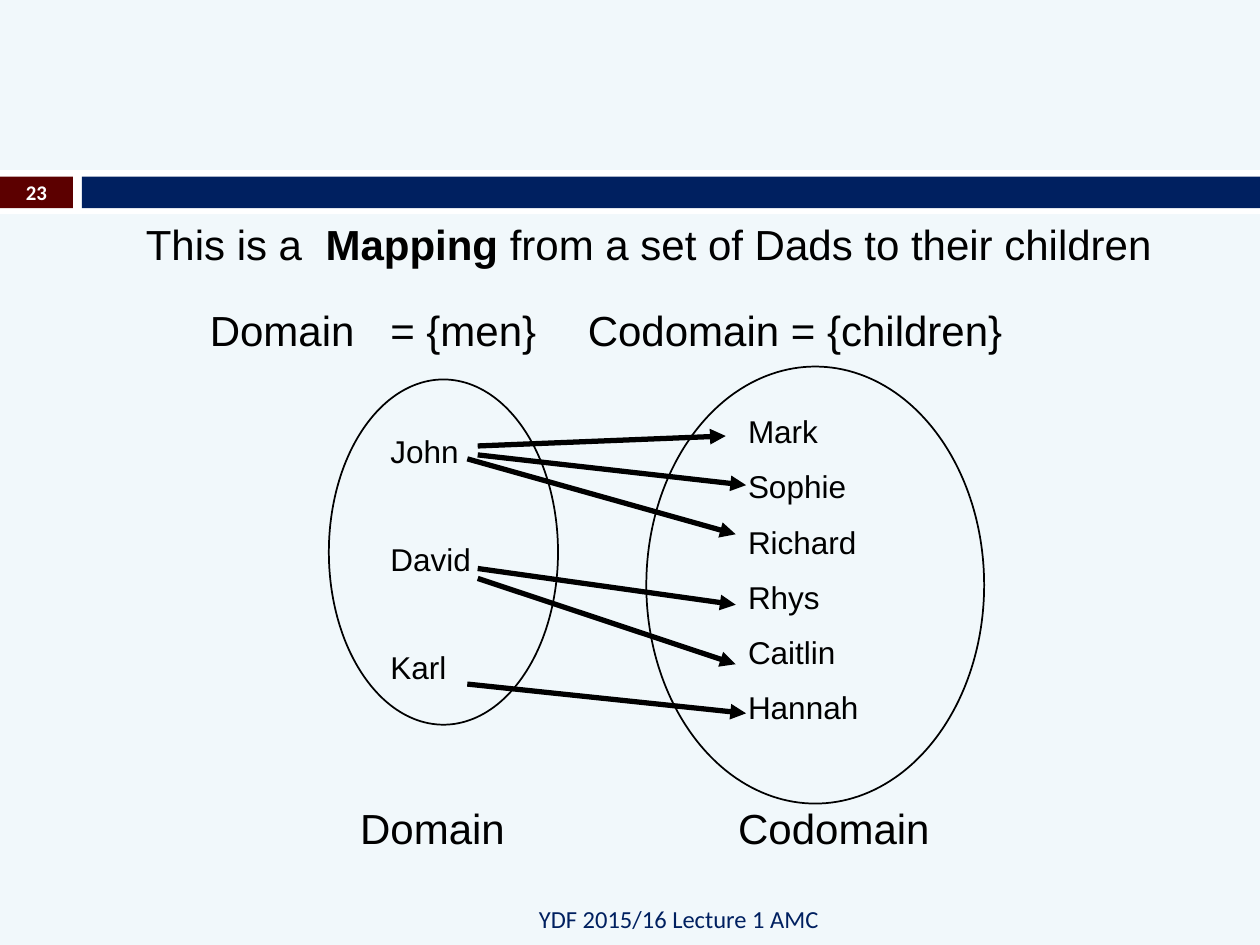
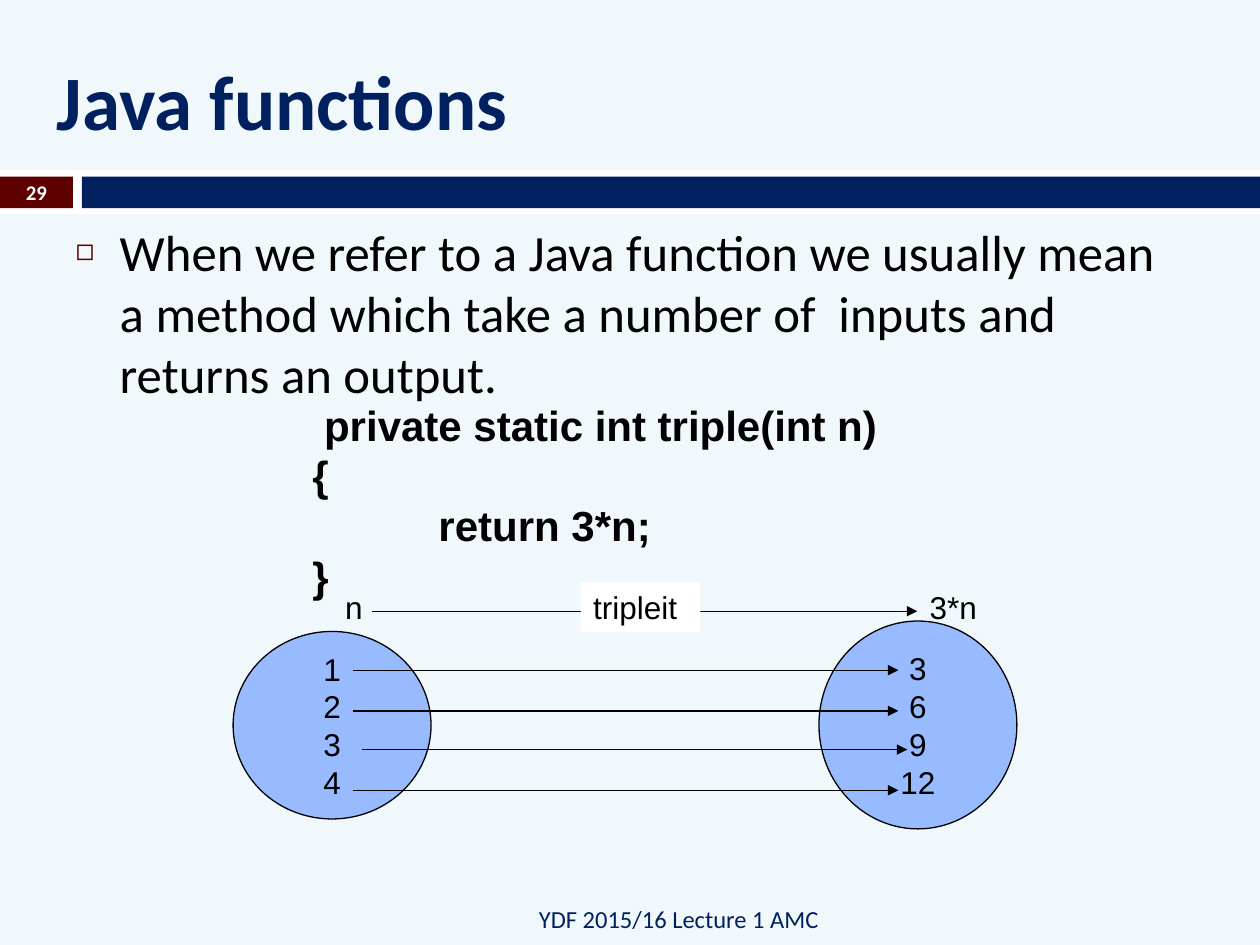
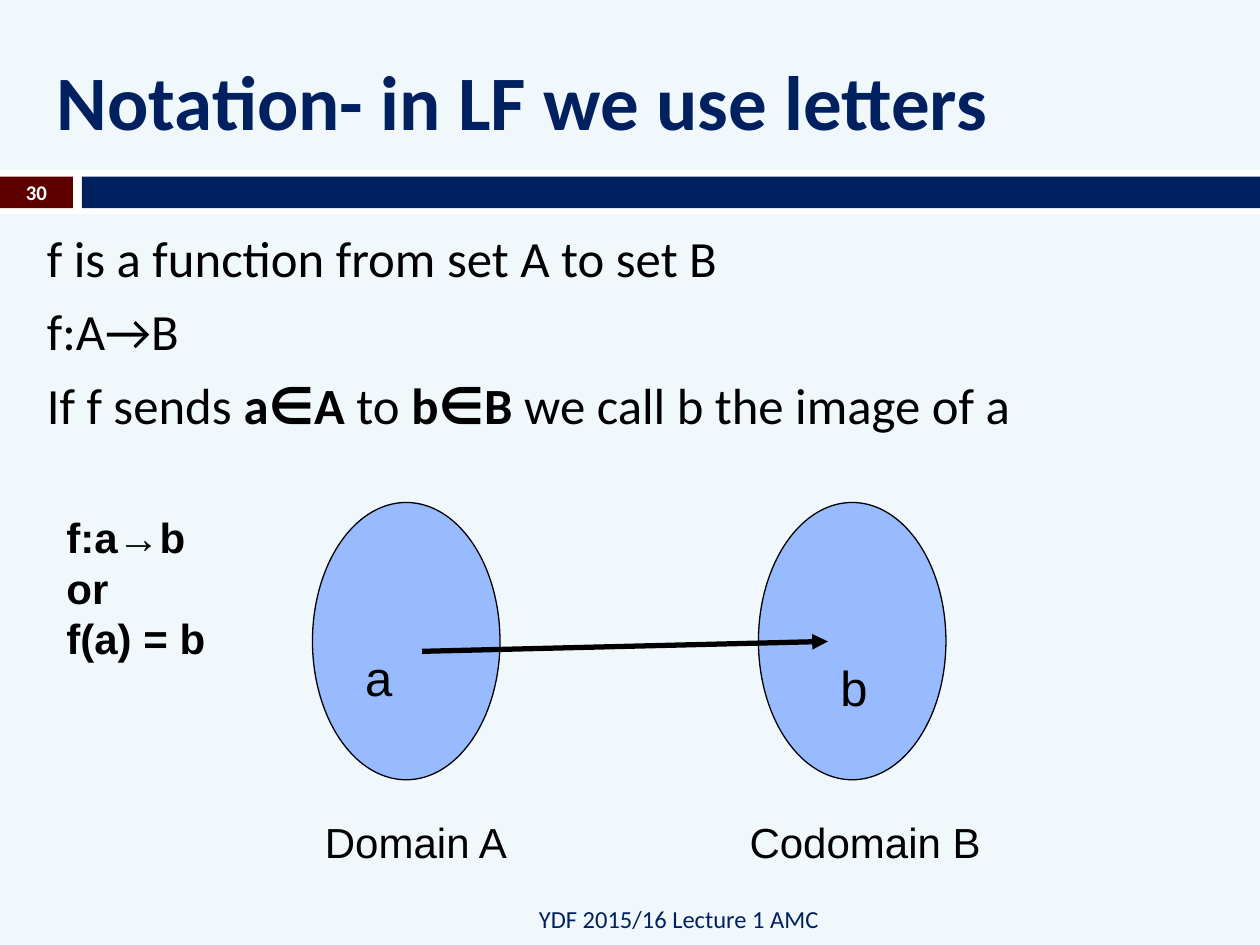
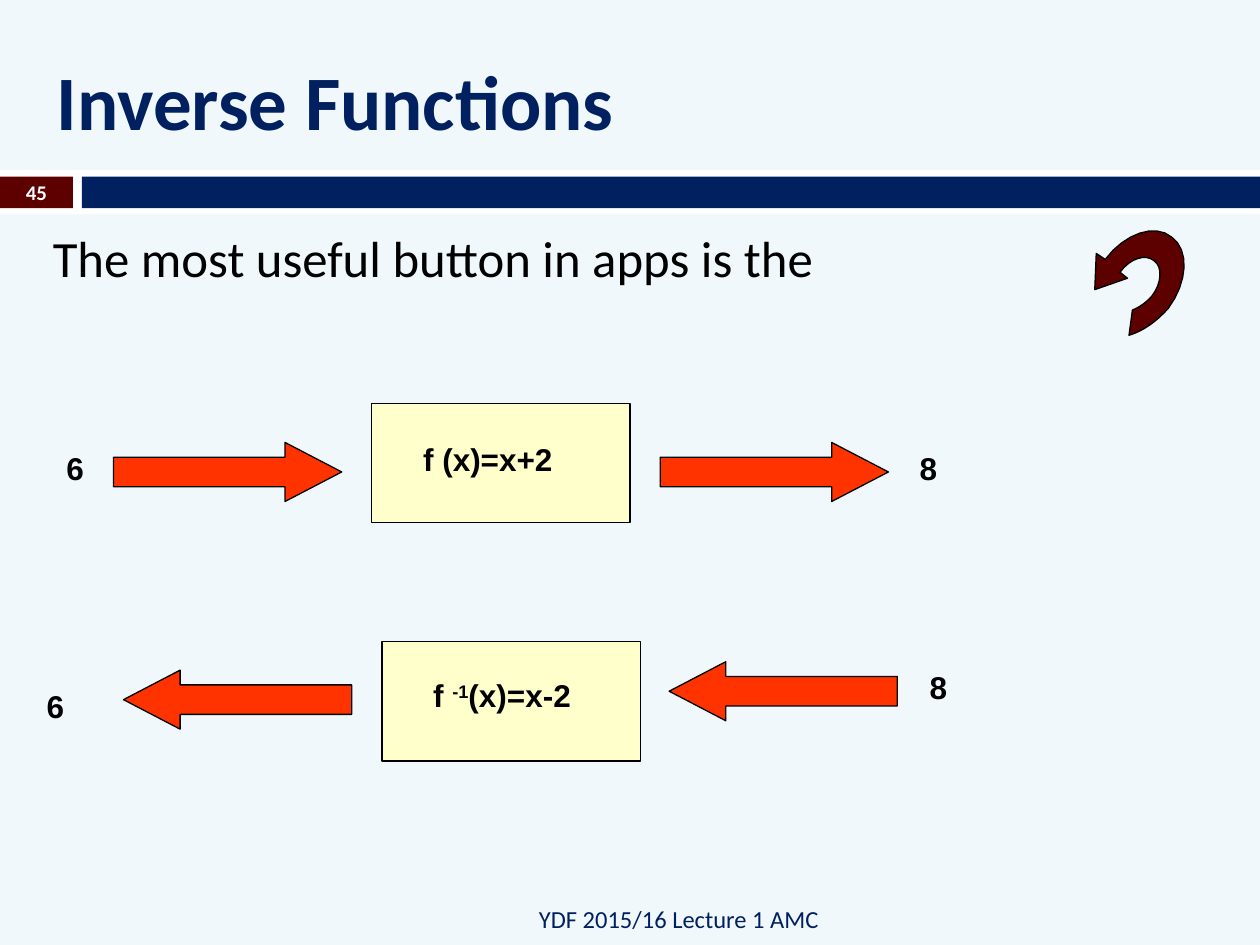
"""Build four lecture slides on mappings, functions and inverses."""
from dataclasses import dataclass

from lxml.etree import SubElement
from pptx import Presentation
from pptx.dml.color import RGBColor
from pptx.enum.shapes import MSO_CONNECTOR, MSO_SHAPE
from pptx.enum.text import MSO_ANCHOR, MSO_AUTO_SIZE, PP_ALIGN
from pptx.oxml.ns import qn
from pptx.util import Cm, Pt


@dataclass(frozen=True)
class Theme:
    back: str = "F1F8FB"
    navy: str = "002060"
    wine: str = "5C0000"
    white: str = "FFFFFF"
    ink: str = "000000"
    blue: str = "98BAFF"
    cream: str = "FFFFCC"
    red: str = "FF3300"
    head: str = "Calibri"
    sans: str = "Arial"
    title: float = 44
    body: float = 29
    big: float = 28
    mid: float = 24
    small: float = 18
    foot: float = 14
    num: float = 11.9
    thin: float = 0.75


T = Theme()


def write(host, lines, at=None, size=T.mid, font=T.sans, color=T.ink, bold=False,
          mark="bold", align=PP_ALIGN.LEFT, anchor=MSO_ANCHOR.TOP, gap=0,
          tabs=(), hang=0, bullet=None, wrap=True):
    if hasattr(host, "shapes"):
        host = host.shapes.add_textbox(0, 0, 0, 0)
    if at:
        host.left, host.top, host.width, host.height = map(Cm, at)
    frame = host.text_frame
    frame.auto_size = MSO_AUTO_SIZE.NONE
    frame.word_wrap = wrap
    frame.vertical_anchor = anchor
    for row, line in enumerate(lines):
        para = frame.add_paragraph() if row else frame.paragraphs[0]
        props = para._p.get_or_add_pPr()
        if hang:
            props.set("marL", str(Cm(hang)))
            props.set("indent", str(-Cm(hang)))
        if bullet:
            tint = SubElement(props, qn("a:buClr"))
            SubElement(tint, qn("a:srgbClr"), val=T.wine)
            SubElement(props, qn("a:buSzPct"), val="60000")
            SubElement(props, qn("a:buChar"), char=bullet)
        elif hang:
            SubElement(props, qn("a:buNone"))
        if tabs:
            stops = SubElement(props, qn("a:tabLst"))
            for stop in tabs:
                SubElement(stops, qn("a:tab"), pos=str(Cm(stop)), algn="l")
        para.alignment = align
        para.space_before = Pt(gap if row else 0)
        for part, words in enumerate(line.split("|")):
            run = para.add_run()
            run.text = words
            run.font.name, run.font.size = font, Pt(size)
            run.font.color.rgb = RGBColor.from_string(color)
            run.font.bold = bold or (part % 2 == 1 and mark == "bold")
            if part % 2 and mark == "super":
                run._r.get_or_add_rPr().set("baseline", "30000")
    return host


def draw(slide, kind, at, fill=None, line=T.thin):
    shape = slide.shapes.add_shape(kind, *map(Cm, at))
    shape.shadow.inherit = False
    if fill:
        shape.fill.solid()
        shape.fill.fore_color.rgb = RGBColor.from_string(fill)
    else:
        shape.fill.background()
    if line:
        shape.line.color.rgb = RGBColor.from_string(T.ink)
        shape.line.width = Pt(line)
    else:
        shape.line.fill.background()
    return shape


deck = Presentation()
deck.slide_width, deck.slide_height = Cm(25.4), Cm(19.05)
master = deck.slide_master
master.background.fill.solid()
master.background.fill.fore_color.rgb = RGBColor.from_string(T.back)

slides = []
for number, title in (("23", None), ("29", "Java functions"),
                      ("30", "Notation- in LF we use letters"), ("45", "Inverse Functions")):
    slide = deck.slides.add_slide(deck.slide_layouts[1 if title else 6])
    slides.append(slide)
    if title:
        write(slide.shapes.title, [title], (0.89, 0.64, 23.8, 2.74), size=T.title,
              font=T.head, color=T.navy, bold=True, anchor=MSO_ANCHOR.MIDDLE)
    write(slide, ["YDF 2015/16 Lecture 1 AMC"], (1.7, 18.01, 15.06, 1.02), size=T.foot,
          font=T.head, color=T.navy, align=PP_ALIGN.RIGHT, anchor=MSO_ANCHOR.MIDDLE)
    write(slide, [number], (0, 3.53, 1.47, 0.69), size=T.num, font=T.head, color=T.white,
          bold=True, align=PP_ALIGN.CENTER, anchor=MSO_ANCHOR.MIDDLE)
dads, java, note, undo = slides

for place, (at, fill) in enumerate((
        ((0, 3.43, 25.4, 0.89), T.white),
        ((0, 3.56, 1.47, 0.64), T.wine),
        ((1.65, 3.56, 23.75, 0.64), T.navy))):
    band = draw(dads, MSO_SHAPE.RECTANGLE, at, fill, None).element
    band.nvSpPr.cNvPr.set("id", str(20 + place))
    master.shapes.element.insert(2 + place, band)

for at in ((6.63, 7.65, 4.62, 6.96), (13.03, 7.39, 6.81, 8.81)):
    draw(dads, MSO_SHAPE.OVAL, at, line=1)
for at, items in (((4.7, 12.73, 3.99, 3.78), ["1", "2", "3", "4"]),
                  ((16.51, 12.52, 3.99, 4.19), ["3", "6", "9", "12"])):
    write(draw(java, MSO_SHAPE.OVAL, at, T.blue), items, size=T.small,
          align=PP_ALIGN.CENTER, anchor=MSO_ANCHOR.MIDDLE, wrap=False)
for left in (6.3, 15.29):
    draw(note, MSO_SHAPE.OVAL, (left, 10.13, 3.78, 5.59), T.blue)

for slide, weight, spans in (
        (dads, 3, ((9.42, 9.25, 14.83, 10.77), (9.63, 8.99, 14.63, 8.79),
                   (9.63, 11.66, 14.83, 13.39), (9.63, 11.46, 14.83, 12.19),
                   (9.42, 13.79, 15.04, 14.38), (9.63, 9.17, 15.04, 9.78))),
        (java, T.thin, [(x, y, x + 11, y) for x, y in (
            (7.11, 13.51), (7.11, 14.33), (7.29, 15.11), (7.11, 15.93), (7.49, 12.32))]),
        (note, 3, ((8.51, 13.13, 16.69, 12.93),))):
    for span in spans:
        arrow = slide.shapes.add_connector(MSO_CONNECTOR.STRAIGHT, *map(Cm, span))
        arrow.line.color.rgb = RGBColor.from_string(T.ink)
        arrow.line.width = Pt(weight)
        props = arrow.element.spPr
        SubElement(props.find(qn("a:ln")), qn("a:tailEnd"), type="triangle")
        SubElement(props, qn("a:effectLst"))

write(dads, ["This is a  |Mapping| from a set of Dads to their children"],
      (2.69, 4.29, 21.44, 1.27))
write(dads, ["\tDomain\t= {men}\tCodomain = {children}"], (1.22, 6.02, 21.11, 1.27),
      tabs=(2.76, 6.4, 10.38))
write(dads, ["John", "David", "Karl"], (7.62, 8.59, 2.79, 5.61), size=T.small, gap=40)
write(dads, ["Mark", "Sophie", "Richard", "Rhys", "Caitlin", "Hannah"],
      (14.83, 8.18, 3.61, 6.76), size=T.small, gap=10)
write(dads, ["\tDomain\tCodomain"], (4.22, 16.05, 18.39, 1.27), tabs=(2.79, 10.41))

write(java.placeholders[1],
      ["When we refer to a Java function we usually mean a method which take "
       "a number of  inputs and returns an output."],
      (1.27, 4.32, 22.86, 12.7), size=T.body, font=T.head, hang=0.89, bullet="◻")
write(java, ["\t private static int triple(int n)", "\t{", "\t\treturn 3*n;", "\t}"],
      (3.51, 7.92, 18.8, 4.32), bold=True, tabs=(2.54, 5.08))
for words, left, width in (("tripleit", 11.71, 2.41), ("n", 6.71, 1.19), ("3*n", 18.49, 1.6)):
    label = write(java, [words], (left, 11.73, width, 1.02), size=T.small)
    if words == "tripleit":
        label.fill.solid()
        label.fill.fore_color.rgb = RGBColor.from_string(T.white)

write(note.placeholders[1],
      ["f is a function from set A to set B", "f:A→B",
       "If f sends |a∈A| to |b∈B| we call b the image of a"],
      (0.69, 4.45, 24, 12.57), size=T.body, font=T.head, hang=0.89, gap=7)
write(note, ["a"], (7.11, 12.93, 1.19, 1.45), size=T.big)
write(note, ["b"], (16.69, 13.13, 1.19, 1.45), size=T.big)
write(note, ["Domain A\tCodomain B"], (6.3, 16.33, 18.39, 1.27), tabs=(8.56,))
write(note, ["f:a→b", "or", "f(a) = b"], (1.09, 10.29, 4.45, 3.1), bold=True,
      anchor=MSO_ANCHOR.MIDDLE)

write(undo.placeholders[1], ["The most useful button in apps is the"],
      (0.81, 4.45, 23.9, 12.5), size=T.body, font=T.head, hang=0.89)
for left, top in ((7.49, 8.13), (7.7, 12.93)):
    draw(undo, MSO_SHAPE.RECTANGLE, (left, top, 5.21, 2.41), T.cream)
for kind, left, top in ((MSO_SHAPE.RIGHT_ARROW, 2.29, 8.92),
                        (MSO_SHAPE.RIGHT_ARROW, 13.31, 8.92),
                        (MSO_SHAPE.LEFT_ARROW, 13.49, 13.34),
                        (MSO_SHAPE.LEFT_ARROW, 2.49, 13.51)):
    block = draw(undo, kind, (left, top, 4.6, 1.19), T.red)
    block.adjustments[1] = 0.96
for words, left, top, width in (("f (x)=x+2", 8.28, 8.74, 3.61),
                                ("f |-1|(x)=x-2", 8.48, 13.51, 3.61),
                                ("6", 1.09, 8.92, 1.6), ("8", 18.29, 8.92, 1.6),
                                ("8", 18.49, 13.34, 1.6), ("6", 0.69, 13.72, 1.6)):
    write(undo, [words], (left, top, width, 1.02), size=T.small, bold=True, mark="super")

start = (22.58, 5.49)
route = (
    ((22.78, 5.21), (23.09, 5.11), (23.27, 5.26)),
    ((23.44, 5.38), (23.42, 5.72), (23.22, 5.97)),
    ((23.11, 6.1), (22.96, 6.2), (22.83, 6.25)),
    ((22.76, 6.76),),
    ((23.04, 6.68), (23.32, 6.48), (23.55, 6.22)),
    ((23.95, 5.69), (23.98, 5.03), (23.62, 4.78)),
    ((23.29, 4.5), (22.68, 4.7), (22.28, 5.23)),
    ((22.1, 5.11),), ((22.07, 5.84),), ((22.73, 5.61),))
points, pen = [], start
for leg in route:
    if len(leg) == 1:
        points.append(leg[0])
    else:
        for step in range(1, 9):
            t = step / 8
            points.append(tuple(
                (1 - t) ** 3 * a + 3 * t * (1 - t) ** 2 * b + 3 * t * t * (1 - t) * c + t ** 3 * d
                for a, b, c, d in zip(pen, *leg)))
    pen = leg[-1]
path = undo.shapes.build_freeform(*map(Cm, start))
path.add_line_segments([(Cm(x), Cm(y)) for x, y in points], close=True)
hook = path.convert_to_shape()
hook.shadow.inherit = False
hook.fill.solid()
hook.fill.fore_color.rgb = RGBColor.from_string(T.wine)
hook.line.color.rgb = RGBColor.from_string(T.ink)
hook.line.width = Pt(T.thin)

deck.save("out.pptx")
